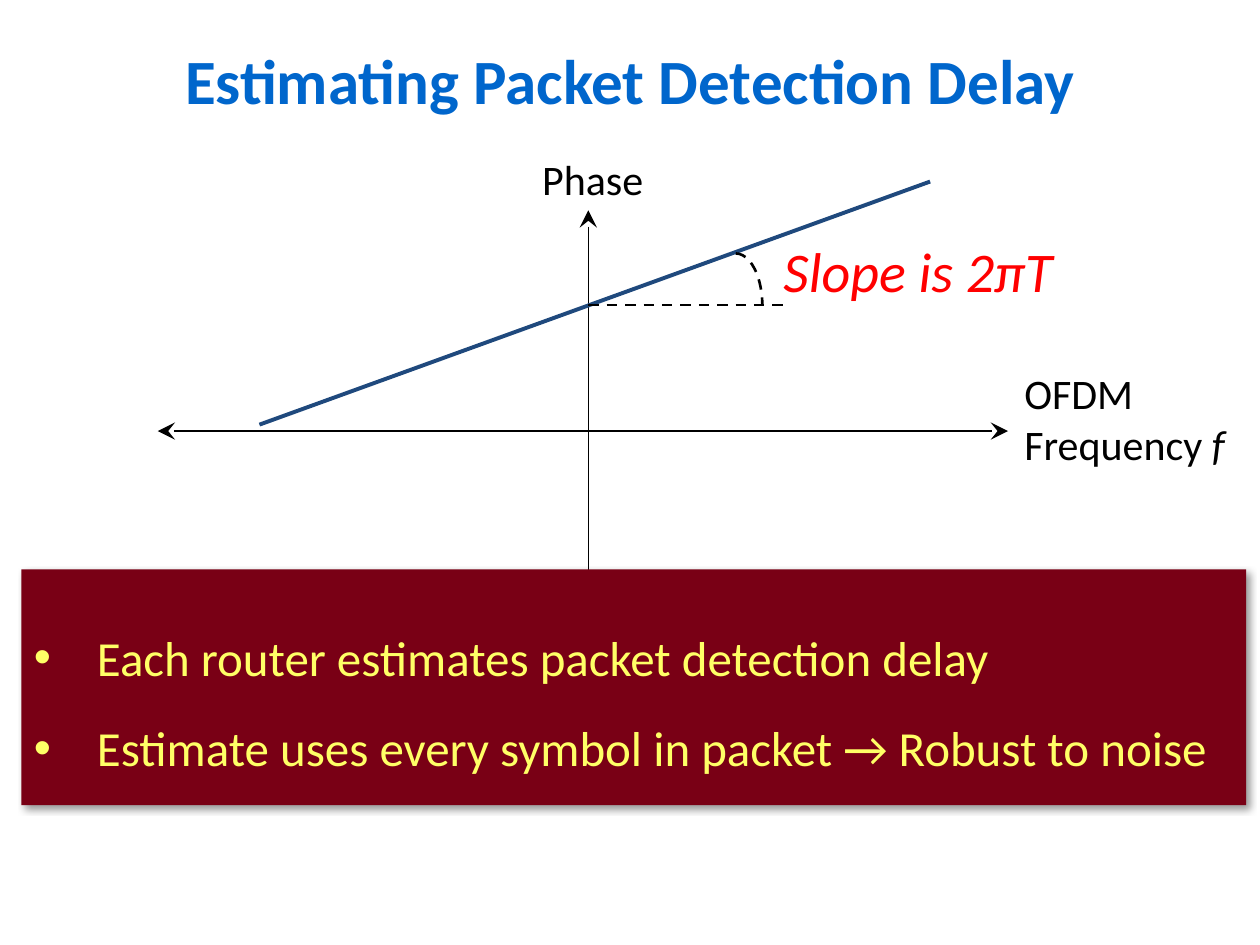
from dataclasses import dataclass

from lxml.etree import SubElement
from pptx import Presentation
from pptx.dml.color import RGBColor
from pptx.enum.dml import MSO_LINE
from pptx.enum.shapes import MSO_CONNECTOR, MSO_SHAPE
from pptx.enum.text import MSO_ANCHOR, MSO_AUTO_SIZE, PP_ALIGN
from pptx.oxml.ns import qn
from pptx.util import Cm, Pt


@dataclass(frozen=True)
class Theme:
    font: str = "Calibri"
    title: str = "0066CC"
    ink: str = "000000"
    phase_line: str = "1F497D"
    accent: str = "FF0000"
    panel: str = "790015"
    panel_text: str = "FFFF66"
    title_size: int = 36
    accent_size: int = 32
    list_size: int = 28
    label_size: int = 24


@dataclass(frozen=True)
class Box:
    left: float
    top: float
    width: float
    height: float

    def lengths(self):
        return Cm(self.left), Cm(self.top), Cm(self.width), Cm(self.height)


@dataclass(frozen=True)
class Line:
    start: tuple[float, float]
    end: tuple[float, float]
    width: float
    color: str = Theme.ink
    dashed: bool = False
    arrows: bool = False


@dataclass(frozen=True)
class Label:
    box: Box
    lines: list
    size: int = Theme.label_size
    color: str = Theme.ink
    italic: bool = False
    align: PP_ALIGN = PP_ALIGN.CENTER


THEME = Theme()
ORIGIN_X, AXIS_Y, CROSSING_Y = 11.86, 8.69, 6.15

LINES = [
    Line((ORIGIN_X, 4.24), (ORIGIN_X, 12.7), 0.75, arrows=True),
    Line((3.18, AXIS_Y), (20.32, AXIS_Y), 0.75, arrows=True),
    Line((5.23, 8.56), (18.75, 3.66), 2.25, THEME.phase_line),
    Line((ORIGIN_X, CROSSING_Y), (15.88, CROSSING_Y), 1.5, dashed=True),
]

# Each line of a label is a list of (text, italic) runs
LABELS = [
    Label(Box(7.57, 2.97, 8.76, 2.49), [[("Phase", False)]]),
    Label(Box(20.4, 7.29, 4.7, 2.31),
          [[("OFDM", False)], [("Frequency ", False), ("f", True)]],
          align=PP_ALIGN.LEFT),
    Label(Box(14.04, 4.65, 8.94, 1.63), [[("Slope is 2πT", True)]],
          THEME.accent_size, THEME.accent),
]

POINTS = [
    "Each router estimates packet detection delay",
    "Estimate uses every symbol in packet → Robust to noise",
]


def add_text(p, text: str, *, size: int, color: str, bold=False, italic=False) -> None:
    r = p.add_run()
    r.text = text
    r.font.name = THEME.font
    r.font.size = Pt(size)
    r.font.bold = bold
    r.font.italic = italic
    r.font.color.rgb = RGBColor.from_string(color)


def paragraphs(tf, count: int) -> list:
    tf.word_wrap = True
    tf.auto_size = MSO_AUTO_SIZE.NONE
    return [tf.paragraphs[0]] + [tf.add_paragraph() for _ in range(count - 1)]


def place(sp, box: Box) -> None:
    sp.left, sp.top, sp.width, sp.height = box.lengths()


def style_line(line, width: float, color: str, dashed: bool) -> None:
    line.width = Pt(width)
    line.color.rgb = RGBColor.from_string(color)
    if dashed:
        line.dash_style = MSO_LINE.DASH


def draw_line(s, item: Line) -> None:
    c = s.shapes.add_connector(MSO_CONNECTOR.STRAIGHT,
                               *map(Cm, item.start + item.end))
    style_line(c.line, item.width, item.color, item.dashed)
    if item.arrows:
        ln = c.line._get_or_add_ln()
        for end in ("a:headEnd", "a:tailEnd"):
            SubElement(ln, qn(end), type="stealth", w="lg", len="lg")
    SubElement(c._element.spPr, qn("a:effectLst"))


def draw_label(s, item: Label) -> None:
    tf = s.shapes.add_textbox(*item.box.lengths()).text_frame
    for p, runs in zip(paragraphs(tf, len(item.lines)), item.lines):
        p.alignment = item.align
        for text, italic in runs:
            add_text(p, text, size=item.size, color=item.color, italic=italic)


def draw_angle(s, box: Box) -> None:
    sp = s.shapes.add_shape(MSO_SHAPE.ARC, *box.lengths())
    sp.shadow.inherit = False
    sp.fill.background()
    style_line(sp.line, 1.5, THEME.ink, True)


def fill_title(sp) -> None:
    place(sp, Box(0, 0, 25.4, 3.18))
    tf = sp.text_frame
    tf.vertical_anchor = MSO_ANCHOR.MIDDLE
    p, = paragraphs(tf, 1)
    p.alignment = PP_ALIGN.CENTER
    add_text(p, "Estimating Packet Detection Delay", size=THEME.title_size,
             color=THEME.title, bold=True)


def add_shadow(sp) -> None:
    effects = SubElement(sp._element.spPr, qn("a:effectLst"))
    shadow = SubElement(effects, qn("a:outerShdw"), blurRad=str(Pt(4)),
                        dist=str(Pt(3)), dir=str(45 * 60000), rotWithShape="0")
    color = SubElement(shadow, qn("a:srgbClr"), val=THEME.ink)
    SubElement(color, qn("a:alpha"), val="40000")


def fill_panel(s, sp) -> None:
    place(sp, Box(0.43, 11.48, 24.69, 4.75))
    sp.fill.solid()
    sp.fill.fore_color.rgb = RGBColor.from_string(THEME.panel)
    add_shadow(sp)
    tf = sp.text_frame
    tf.vertical_anchor = MSO_ANCHOR.MIDDLE
    for i, (p, text) in enumerate(zip(paragraphs(tf, len(POINTS)), POINTS)):
        pPr = p._p.get_or_add_pPr()
        pPr.set("marL", str(Cm(1.27)))
        pPr.set("indent", str(-Cm(1.27)))
        SubElement(pPr, qn("a:buFont"), typeface="Arial")
        SubElement(pPr, qn("a:buChar"), char="•")
        p.line_spacing = 1.5
        p.space_before = Pt(1.4 if i else 0)
        add_text(p, text, size=THEME.list_size, color=THEME.panel_text)
    # The panel covers the foot of the phase axis
    s.shapes._spTree.append(sp._element)


def main() -> None:
    prs = Presentation()
    prs.slide_width, prs.slide_height = Cm(25.4), Cm(19.05)
    s = prs.slides.add_slide(prs.slide_layouts[1])

    # Title
    fill_title(s.shapes.title)

    # Phase diagram
    for line in LINES:
        draw_line(s, line)
    draw_angle(s, Box(14.3, 5.11, 1.07, 2.11))
    for label in LABELS:
        draw_label(s, label)

    # Conclusions
    fill_panel(s, s.placeholders[1])
    prs.save("out.pptx")


if __name__ == "__main__":
    main()
